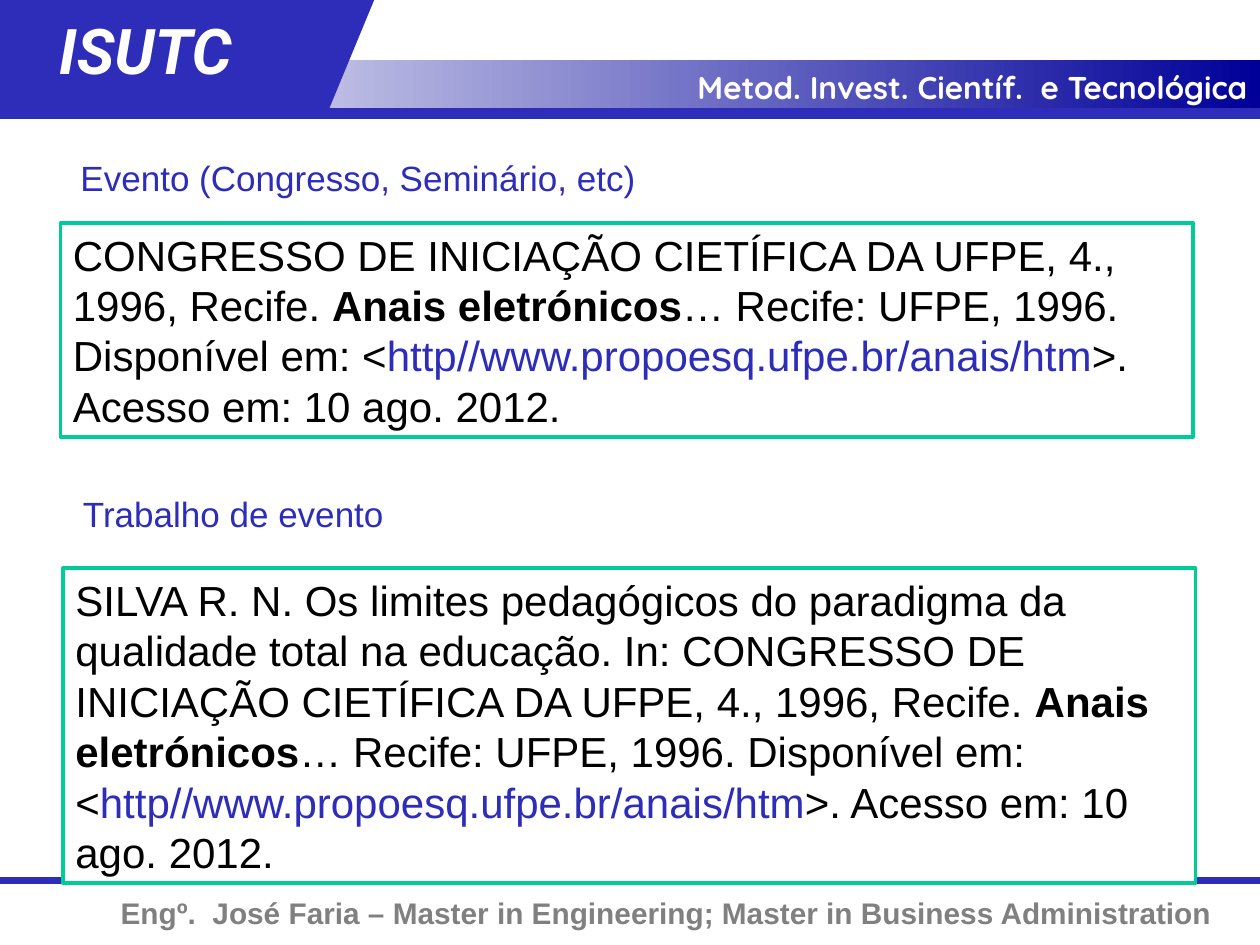
import pptx
import pptx.util
import pptx.dml.color
import pptx.enum.shapes
import pptx.enum.text
import pptx.oxml.ns
from lxml import etree

Inches = pptx.util.Inches
Pt = pptx.util.Pt
RGBColor = pptx.dml.color.RGBColor
SHAPE = pptx.enum.shapes.MSO_SHAPE
ALIGN = pptx.enum.text.PP_ALIGN

BLUE = RGBColor(0x2D, 0x2D, 0xB9)
NAVY = RGBColor(0x00, 0x00, 0x99)
GREEN = RGBColor(0x00, 0xCC, 0x99)
GRAY = RGBColor(0x80, 0x80, 0x80)
WHITE = RGBColor(0xFF, 0xFF, 0xFF)
BLACK = RGBColor(0x00, 0x00, 0x00)

EVENT = "CONGRESSO DE INICIAÇÃO CIETÍFICA DA UFPE, 4., 1996, Recife. "
PAPER = ("SILVA R. N. Os limites pedagógicos do paradigma da "
         "qualidade total na educação. In: ")


def add_rule(slide, y, width):
    """Draw a blue line across the whole slide."""
    line = slide.shapes.add_connector(
        pptx.enum.shapes.MSO_CONNECTOR.STRAIGHT,
        Inches(0), Inches(y), Inches(10), Inches(y))
    line.line.color.rgb = BLUE
    line.line.width = Pt(width)
    etree.SubElement(line._element.spPr, pptx.oxml.ns.qn("a:effectLst"))


def add_block(slide, kind, box, fill):
    shape = slide.shapes.add_shape(kind, *map(Inches, box))
    shape.shadow.inherit = False
    shape.fill.solid()
    shape.fill.fore_color.rgb = fill
    shape.line.fill.background()
    return shape


def add_band(slide, box):
    """Draw the header band, fading from white to navy."""
    fill = add_block(slide, SHAPE.RECTANGLE, box, NAVY).fill
    fill.gradient()
    fill.gradient_angle = 0
    for stop, color in zip(fill.gradient_stops, (WHITE, NAVY)):
        stop.color.rgb = color


def set_font(para, size, color, name="Arial"):
    para.font.size = Pt(size)
    para.font.name = name
    para.font.color.rgb = color


def add_label(slide, box, text, size, color, name="Arial",
              bold=False, italic=False, align=ALIGN.LEFT):
    frame = slide.shapes.add_textbox(*map(Inches, box)).text_frame
    frame.word_wrap = True
    para = frame.paragraphs[0]
    para.text = text
    para.alignment = align
    set_font(para, size, color, name)
    para.font.bold = bold
    para.font.italic = italic


def add_cite(slide, box, lead):
    """Add a framed reference that opens with the lead text."""
    shape = add_block(slide, SHAPE.RECTANGLE, box, WHITE)
    shape.line.color.rgb = GREEN
    shape.line.width = Pt(2)
    frame = shape.text_frame
    frame.word_wrap = True
    frame.vertical_anchor = pptx.enum.text.MSO_ANCHOR.TOP
    para = frame.paragraphs[0]
    para.alignment = ALIGN.LEFT
    set_font(para, 24, BLACK)
    for text, bold, color in (
            (lead, False, BLACK),
            ("Anais eletrónicos", True, BLACK),
            ("… Recife: UFPE, 1996. Disponível em: <", False, BLACK),
            ("http//www.propoesq.ufpe.br/anais/htm", False, BLUE),
            (">. Acesso em: 10 ago. 2012.", False, BLACK)):
        run = para.add_run()
        run.text = text
        run.font.bold = bold
        run.font.color.rgb = color


def add_frame(slide):
    """Add the header and footer."""
    add_rule(slide, 6.99, 4)
    add_label(slide, (0, 7.05, 9.72, 0.39),
              "Engº.  José Faria – Master in Engineering; "
              "Master in Business Administration",
              17, GRAY, bold=True, align=ALIGN.RIGHT)
    add_band(slide, (0, 0.48, 10, 0.39))
    add_block(slide, SHAPE.FLOWCHART_DATA, (1.17, 0, 1.8, 0.87), BLUE)
    add_block(slide, SHAPE.RECTANGLE, (0, 0, 1.59, 0.87), BLUE)
    add_label(slide, (4.36, 0.49, 5.64, 0.4),
              "Metod. Invest. Científ.  e Tecnológica",
              18, WHITE, "Quicksand", bold=True, align=ALIGN.RIGHT)
    add_label(slide, (0.37, 0.04, 1.93, 0.7), "ISUTC",
              36, WHITE, "Roboto", bold=True, italic=True)
    add_rule(slide, 0.9, 6)


def main():
    deck = pptx.Presentation()
    deck.slide_width = Inches(10)
    deck.slide_height = Inches(7.5)
    slide = deck.slides.add_slide(deck.slide_layouts[6])
    add_frame(slide)
    add_label(slide, (0.54, 1.19, 8.45, 0.44),
              "Evento (Congresso, Seminário, etc)", 20, BLUE)
    add_cite(slide, (0.48, 1.77, 8.99, 1.7), EVENT)
    add_label(slide, (0.56, 3.86, 8.45, 0.44),
              "Trabalho de evento", 20, BLUE)
    add_cite(slide, (0.5, 4.51, 8.99, 2.5), PAPER + EVENT)
    deck.save("out.pptx")


if __name__ == "__main__":
    main()
